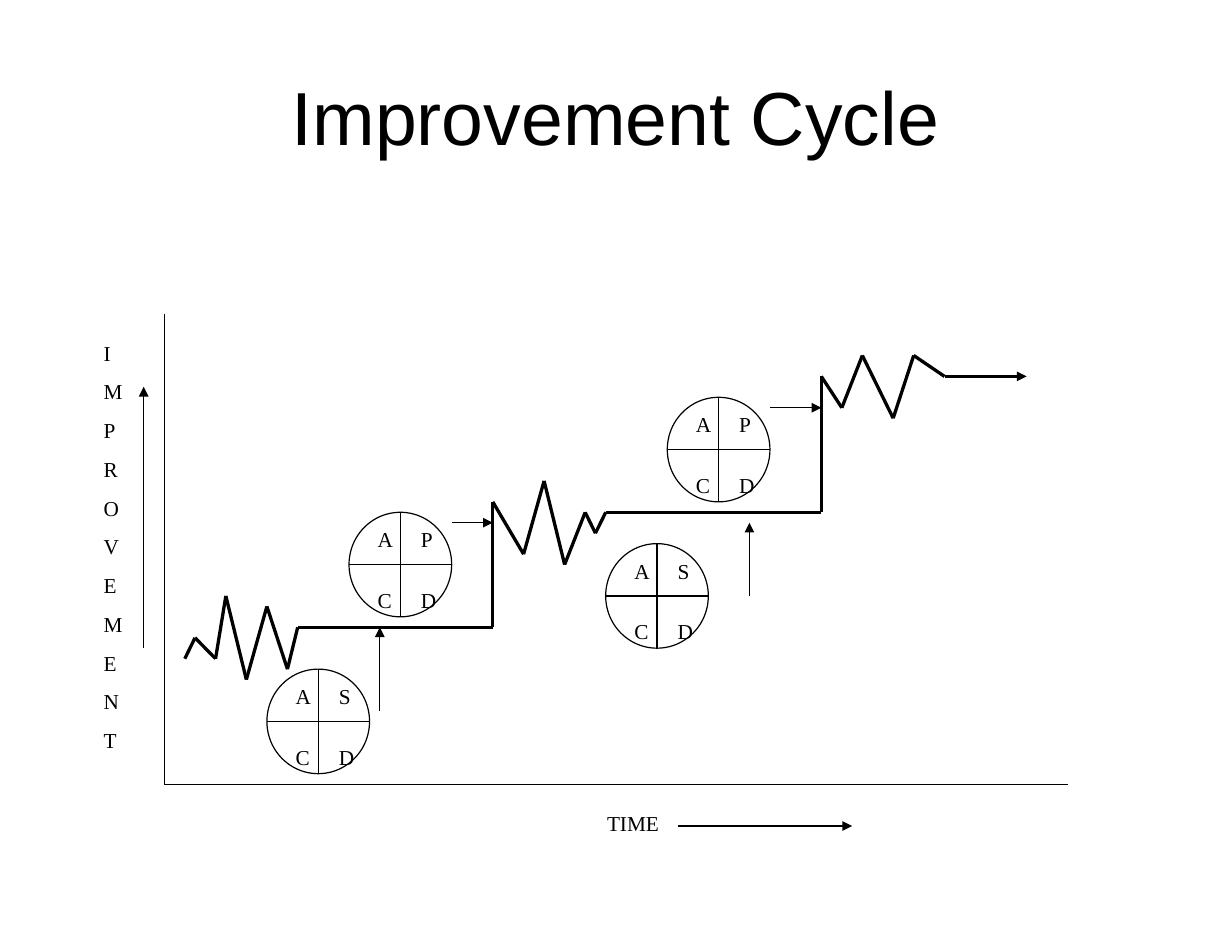
from itertools import pairwise

from lxml.etree import SubElement
from pptx import Presentation
from pptx.dml.color import RGBColor
from pptx.enum.shapes import MSO_CONNECTOR, MSO_SHAPE
from pptx.enum.text import MSO_ANCHOR, MSO_AUTO_SIZE, PP_ALIGN
from pptx.oxml.ns import qn
from pptx.util import Pt

COLORS = {"ink": "000000"}
PAGE_WIDTH, PAGE_HEIGHT = 753.84, 576
# The chart sits on a grid of 120 columns by 90 rows.
COLUMN, ROW = PAGE_WIDTH / 120, PAGE_HEIGHT / 90
THIN, THICK = 0.75, 2
WHEEL_SIZE = 10

# Grid points (column, row)
PROGRESS = [
    (18, 63), (19, 61), (21, 63), (22, 57), (24, 65), (26, 58), (28, 64),
    (29, 60), (48, 60), (48, 48), (51, 53), (53, 46), (55, 54), (57, 49),
    (58, 51), (59, 49), (80, 49), (80, 36), (82, 39), (84, 34), (87, 40),
    (89, 34), (92, 36),
]
AXES = [(16, 30), (16, 75), (104, 75)]
ARROWS = [
    ((14, 62), (14, 37)),
    ((66, 79), (83, 79)),
    ((37, 68), (37, 60)),
    ((44, 50), (48, 50)),
    ((73, 57), (73, 50)),
    ((75, 39), (80, 39)),
]
# Left column, top row, letters clockwise from the upper left
WHEELS = [
    (65, 38, "APDC"),
    (34, 49, "APDC"),
    (26, 64, "ASDC"),
    (59, 52, "ASDC"),
]
LETTER_OFFSETS = [(10.4, 5.2), (36.9, 5.2), (36.9, 42.4), (10.4, 42.4)]


class Sketcher:
    """Holds the style and the current slide."""

    title_font, title_size = "Arial", 46
    label_font, label_size, label_gap = "Times New Roman", 13, 8.1

    def __init__(self, page):
        self.page = page
        self.ink = RGBColor.from_string(COLORS["ink"])

    def set_font(self, paragraph, name, size):
        paragraph.font.name = name
        paragraph.font.size = Pt(size)
        paragraph.font.color.rgb = self.ink

    def title(self, text, left, top, width, height):
        box = self.page.shapes.title
        box.left, box.top, box.width, box.height = map(Pt, (left, top, width, height))
        box.text_frame.text = text
        box.text_frame.vertical_anchor = MSO_ANCHOR.MIDDLE
        paragraph = box.text_frame.paragraphs[0]
        paragraph.alignment = PP_ALIGN.CENTER
        self.set_font(paragraph, self.title_font, self.title_size)

    def label(self, lines, left, top, width, height, parent=None):
        shapes = (parent or self.page).shapes
        box = shapes.add_textbox(Pt(left), Pt(top), Pt(width), Pt(height))
        frame = box.text_frame
        frame.word_wrap = True
        frame.auto_size = MSO_AUTO_SIZE.SHAPE_TO_FIT_TEXT
        frame.text = "\n".join(lines)
        for index, paragraph in enumerate(frame.paragraphs):
            if index:
                paragraph.space_before = Pt(self.label_gap)
            self.set_font(paragraph, self.label_font, self.label_size)

    def line(self, start, end, weight=THIN, arrow=False, parent=None):
        """Join two grid points."""
        connector = (parent or self.page).shapes.add_connector(
            MSO_CONNECTOR.STRAIGHT,
            Pt(start[0] * COLUMN), Pt(start[1] * ROW),
            Pt(end[0] * COLUMN), Pt(end[1] * ROW),
        )
        connector.line.color.rgb = self.ink
        connector.line.width = Pt(weight)
        if arrow:
            SubElement(connector.line._get_or_add_ln(), qn("a:tailEnd"), type="triangle")
        SubElement(connector._element.spPr, qn("a:effectLst"))

    def path_of_lines(self, points, weight=THIN):
        for start, end in pairwise(points):
            self.line(start, end, weight)

    def wheel(self, column, row, letters):
        """Draw a quartered circle with a letter in each quarter."""
        group = self.page.shapes.add_group_shape()
        left, top = column * COLUMN, row * ROW
        circle = group.shapes.add_shape(
            MSO_SHAPE.OVAL, Pt(left), Pt(top),
            Pt(WHEEL_SIZE * COLUMN), Pt(WHEEL_SIZE * ROW),
        )
        circle.shadow.inherit = False
        circle.fill.background()
        circle.line.color.rgb = self.ink
        circle.line.width = Pt(THIN)

        half = WHEEL_SIZE / 2
        self.line((column, row + half), (column + WHEEL_SIZE, row + half), parent=group)
        self.line((column + half, row), (column + half, row + WHEEL_SIZE), parent=group)
        for letter, (across, down) in zip(letters, LETTER_OFFSETS):
            self.label([letter], left + across, top + down, 20.9, 23, parent=group)


def main():
    deck = Presentation()
    deck.slide_width, deck.slide_height = Pt(PAGE_WIDTH), Pt(PAGE_HEIGHT)
    title_only = deck.slide_layouts[5]
    sketcher = Sketcher(deck.slides.add_slide(title_only))

    sketcher.title("Improvement Cycle", 37.4, 23, 678.2, 95.8)
    sketcher.path_of_lines(AXES)
    sketcher.path_of_lines(PROGRESS, THICK)
    sketcher.line(PROGRESS[-1], (100, 36), THICK, arrow=True)
    for wheel in WHEELS:
        sketcher.wheel(*wheel)
    for start, end in ARROWS:
        sketcher.line(start, end, arrow=True)
    sketcher.label(["TIME"], 364.4, 492.5, 62.6, 23)
    sketcher.label("IMPROVEMENT", 56.3, 204.5, 31.7, 260.6)

    deck.save("out.pptx")


if __name__ == "__main__":
    main()
